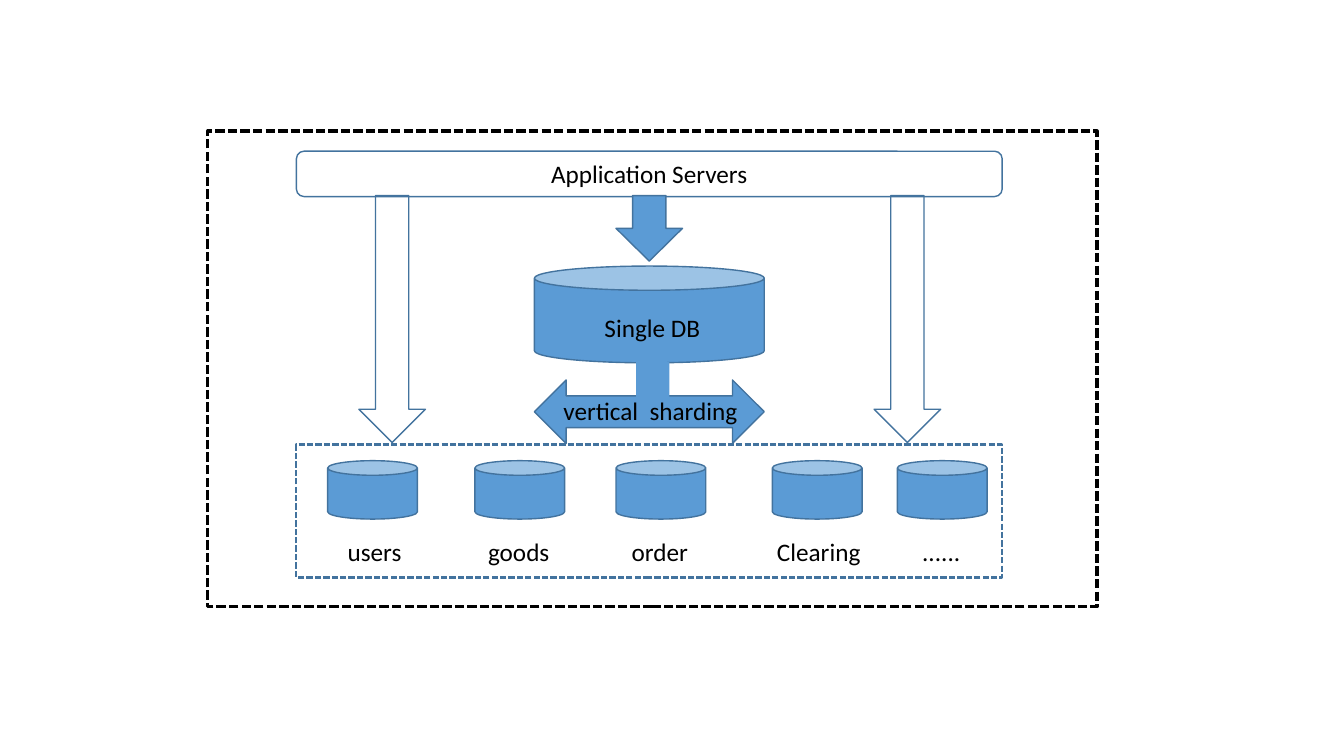
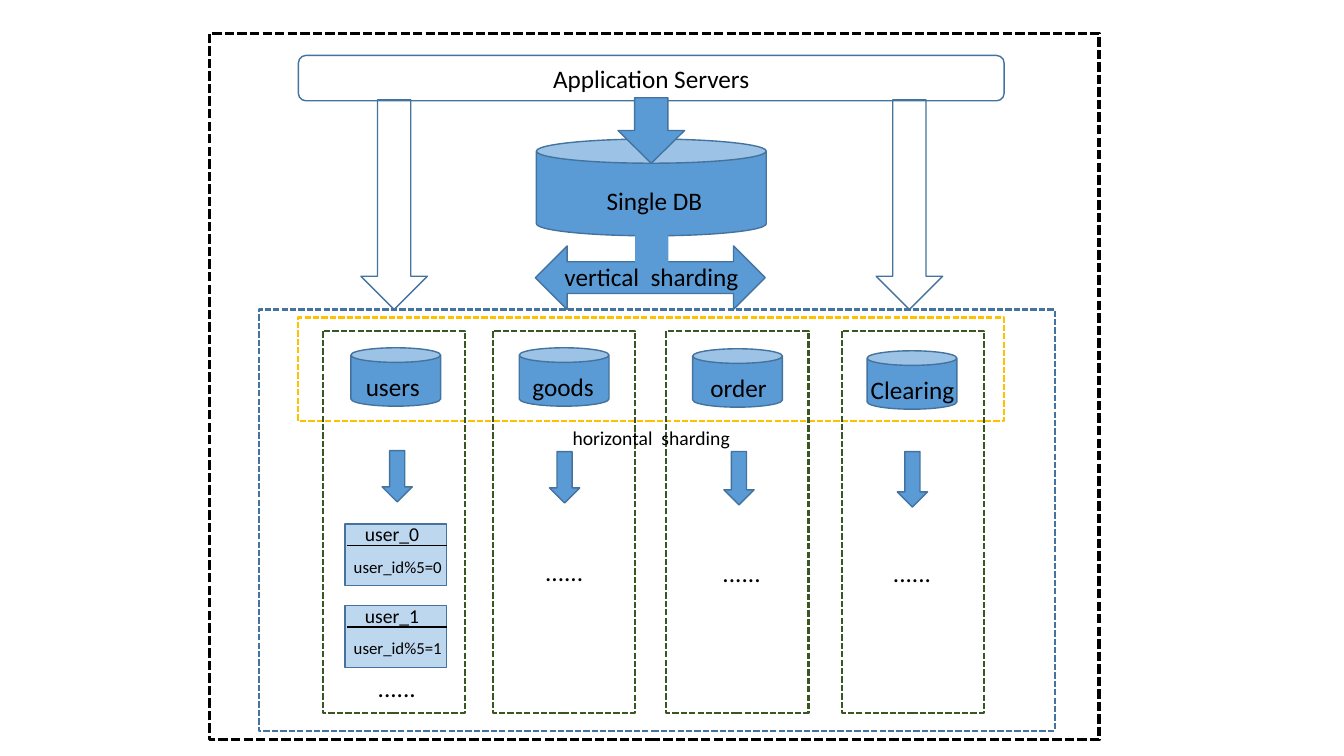
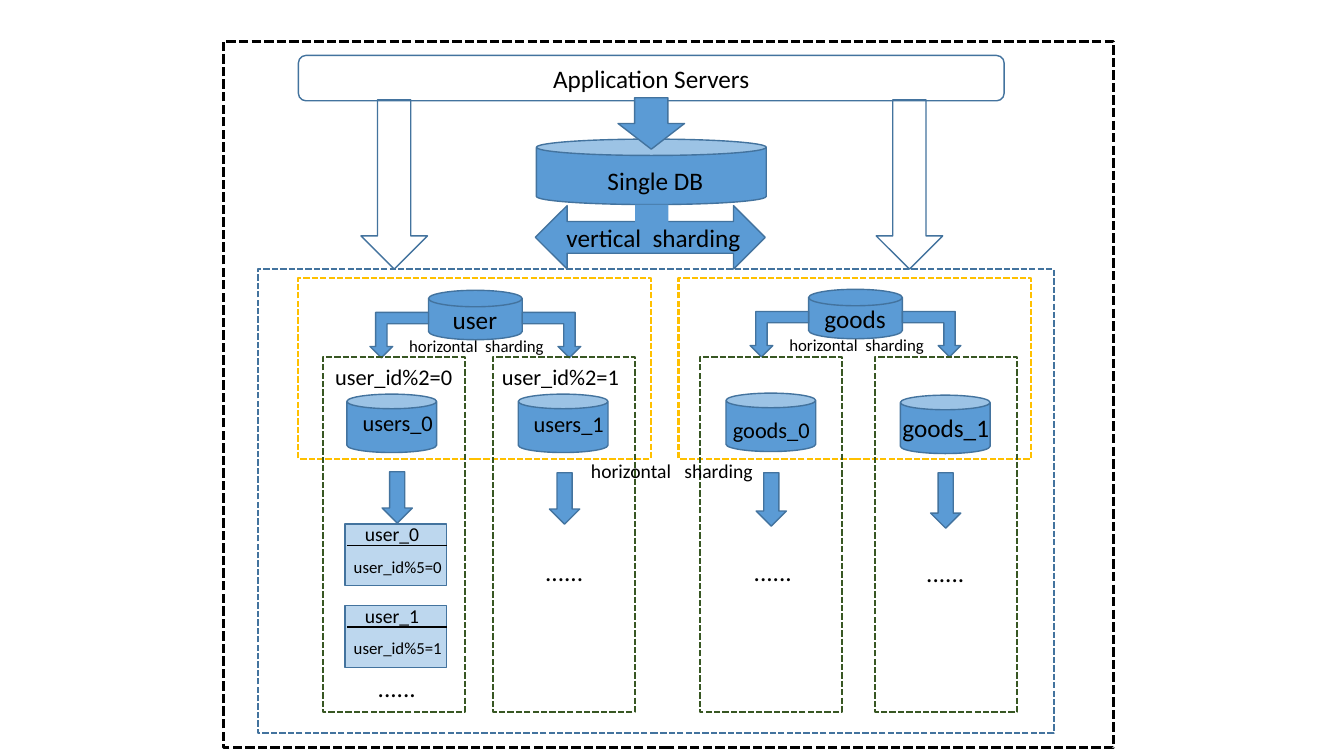
from dataclasses import dataclass

from lxml import etree
from pptx import Presentation
from pptx.dml.color import RGBColor
from pptx.enum.dml import MSO_LINE
from pptx.enum.shapes import MSO_CONNECTOR, MSO_SHAPE
from pptx.enum.text import MSO_ANCHOR, PP_ALIGN
from pptx.oxml.ns import qn
from pptx.util import Pt

RECT = MSO_SHAPE.RECTANGLE
ROUND = MSO_SHAPE.ROUNDED_RECTANGLE
CAN = MSO_SHAPE.CAN
DISK = MSO_SHAPE.FLOWCHART_MAGNETIC_DISK
DOWN = MSO_SHAPE.DOWN_ARROW
BOTH = MSO_SHAPE.LEFT_RIGHT_ARROW
BENT = MSO_SHAPE.BENT_UP_ARROW
STRAIGHT = MSO_CONNECTOR.STRAIGHT
DASH = MSO_LINE.SQUARE_DOT
LEFT, CENTER = PP_ALIGN.LEFT, PP_ALIGN.CENTER
MIDDLE, TOP = MSO_ANCHOR.MIDDLE, MSO_ANCHOR.TOP

PX = 9144  # EMU per px, 100 px to the inch
WIDE, HIGH = 1333, 750


@dataclass(frozen=True)
class Theme:
    font: str = "Calibri"
    ink: str = "000000"
    paper: str = "FFFFFF"
    blue: str = "5B9BD5"
    edge: str = "43739E"
    pale: str = "BDD7EE"
    gold: str = "FFC000"
    green: str = "385723"
    big: int = 18
    mid: int = 16
    small: int = 14
    tiny: int = 12
    thin: float = 1
    bold: float = 1.5
    heavy: float = 2.25


T = Theme()
DOTS = "......"

# Boxes are (left, top, width, height) in px.
VERTICAL = {
    "frame": (206, 130, 882, 472), "server": (294, 150, 700, 45),
    "db": (530, 264, 228, 96), "name": (572, 305, 150, 40),
    "feed": (611, 194, 66, 65), "drop": 245,
    "split": (530, 377, 228, 63), "stem": (631, 359, 33, 57),
    "label": (549, 387, 197, 40), "zone": (294, 441, 700, 132),
}
HORIZONTAL = {
    "frame": (208, 33, 882, 701), "server": (296, 55, 700, 45),
    "db": (532, 138, 228, 96), "name": (574, 179, 150, 40),
    "feed": (613, 97, 66, 65), "drop": 208,
    "split": (531, 244, 228, 63), "stem": (630, 233, 33, 57),
    "label": (550, 254, 197, 40), "zone": (257, 307, 789, 418),
}
MIXED = {
    "frame": (222, 41, 882, 701), "server": (296, 55, 700, 45),
    "db": (532, 138, 228, 65), "name": (575, 159, 150, 40),
    "feed": (613, 97, 66, 51), "drop": 168,
    "split": (531, 204, 228, 63), "stem": (630, 203, 33, 46),
    "label": (552, 216, 198, 40), "zone": (256, 267, 789, 460),
}

# store left, name, name left, name width
STORES = [
    (325, "users", 328, 87),
    (471, "goods", 471, 87),
    (611, "order", 611, 87),
    (766, "Clearing", 758, 108),
    (890, DOTS, 890, 87),
]

# lane left, store left and top, name, its box and size, arrow box, dots box
TABLES = [
    (320, (348, 345), "users", (345, 363, 89, 40), T.big,
     (379, 447, 30, 51), None),
    (489, (515, 345), "goods", (515, 363, 87, 40), T.big,
     (545, 448, 30, 51), (504, 547, 111, 40)),
    (661, (687, 346), "order", (689, 364, 87, 40), T.big,
     (718, 448, 30, 53), (680, 548, 111, 40)),
    (835, (860, 348), "Clearing", (851, 366, 108, 40), T.big,
     (890, 448, 30, 55), (834, 548, 141, 40)),
]
SHARDS = [
    (320, (344, 391), "users_0", (347, 401, 95, 37), T.mid,
     (379, 468, 30, 51), None),
    (489, (514, 391), "users_1", (515, 402, 98, 37), T.mid,
     (545, 469, 30, 51), (504, 547, 111, 40)),
    (694, (720, 390), "goods_0", (714, 408, 102, 37), T.mid,
     (750, 469, 30, 53), (698, 547, 137, 40)),
    (868, (893, 392), "goods_1", (884, 404, 108, 40), T.big,
     (923, 469, 30, 55), (867, 548, 141, 40)),
]

CARDS = [("user_0", "user_id%5=0"), ("user_1", "user_id%5=1")]

# group left, disk left and top, name
GROUPS = [(296, (425, 288), "user"), (673, (802, 287), "goods")]
RULES = [("user_id%2=0", (320, 355, 141, 37), CENTER),
         ("user_id%2=1", (488, 355, 140, 37), LEFT)]


def emu(box):
    return [n * PX for n in box]


def color(code):
    return RGBColor.from_string(code)


def put(slide, kind, box, fill=T.blue, line=T.edge, width=T.thin,
        dash=None, flip=""):
    """Add a preset shape; flip holds the axes to mirror, H and V."""
    shape = slide.shapes.add_shape(kind, *emu(box))
    shape.shadow.inherit = False
    if fill:
        shape.fill.solid()
        shape.fill.fore_color.rgb = color(fill)
    else:
        shape.fill.background()
    if line:
        shape.line.color.rgb = color(line)
        shape.line.width = Pt(width)
        if dash:
            shape.line.dash_style = dash
    else:
        shape.line.fill.background()
    for axis in flip:
        shape.element.spPr.xfrm.set("flip" + axis, "1")
    return shape


def fence(slide, box, line=T.edge, fill=None, width=T.bold):
    """Add a dashed outline."""
    put(slide, RECT, box, fill=fill, line=line, width=width, dash=DASH)


def write(shape, text, size=T.big, align=CENTER, anchor=TOP):
    frame = shape.text_frame
    frame.word_wrap = True
    frame.vertical_anchor = anchor
    para = frame.paragraphs[0]
    para.alignment = align
    run = para.add_run()
    run.text = text
    run.font.name = T.font
    run.font.size = Pt(size)
    run.font.color.rgb = color(T.ink)


def note(slide, box, text, **style):
    write(slide.shapes.add_textbox(*emu(box)), text, **style)


def rule(slide, x, y, span):
    """Add a level black line."""
    line = slide.shapes.add_connector(STRAIGHT, *emu((x, y, x + span, y)))
    line.line.color.rgb = color(T.ink)
    line.line.width = Pt(T.thin)
    etree.SubElement(line.element.spPr, qn("a:effectLst"))


def base(deck, plan):
    """Start a slide with the servers, the single DB and its split."""
    slide = deck.slides.add_slide(deck.slide_layouts[6])
    fence(slide, plan["frame"], T.ink, T.paper, T.heavy)
    server = put(slide, ROUND, plan["server"], fill=T.paper)
    write(server, "Application Servers", anchor=MIDDLE)
    put(slide, CAN, plan["db"])
    note(slide, plan["name"], "Single DB")
    put(slide, DOWN, plan["feed"])
    x, y = plan["server"][:2]
    for gap in (62, 573):
        put(slide, DOWN, (x + gap, y + 44, 66, plan["drop"]), fill=None)
    put(slide, BOTH, plan["split"])
    put(slide, RECT, plan["stem"], line=None)
    note(slide, plan["label"], "vertical  sharding", align=LEFT)
    fence(slide, plan["zone"])
    return slide


def store(slide, x, y):
    put(slide, CAN, (x, y, 89, 58))


def lanes(slide, rows, top, high):
    """Add the dashed columns, with the user tables in the first."""
    for x, spot, name, box, size, arrow, dots in rows:
        fence(slide, (x, top, 141, high), T.green)
        store(slide, *spot)
        note(slide, box, name, size=size)
        put(slide, DOWN, arrow)
        if dots:
            note(slide, dots, DOTS)
    for i, (name, test) in enumerate(CARDS):
        y = 520 + i * 81
        put(slide, RECT, (342, y, 101, 61), fill=T.pale)
        rule(slide, 344, y + 21, 99)
        note(slide, (352, y - 7, 85, 34), name, size=T.small, align=LEFT)
        note(slide, (340, y + 27, 109, 30), test, size=T.tiny)
    note(slide, (343, 662, 101, 40), DOTS)


def vertical(deck):
    slide = base(deck, VERTICAL)
    for x, name, left, wide in STORES:
        store(slide, x, 457)
        note(slide, (left, 527, wide, 40), name)


def horizontal(deck):
    slide = base(deck, HORIZONTAL)
    fence(slide, (296, 315, 700, 103), T.gold)
    lanes(slide, TABLES, 328, 379)
    note(slide, (503, 418, 286, 34), "horizontal  sharding", size=T.small)


def mixed(deck):
    slide = base(deck, MIXED)
    for left, (x, y), name in GROUPS:
        fence(slide, (left, 276, 350, 179), T.gold)
        put(slide, DISK, (x, y, 93, 49))
        note(slide, (x, y + 9, 92, 40), name)
        put(slide, BENT, (x + 93, y + 22, 58, 45), flip="V")
        put(slide, BENT, (x - 58, y + 22, 58, 45), flip="HV")
        note(slide, (x - 29, y + 40, 179, 60), "horizontal  sharding",
             size=T.tiny, align=LEFT)
    lanes(slide, SHARDS, 354, 352)
    for text, box, align in RULES:
        note(slide, box, text, size=T.mid, align=align)
    note(slide, (493, 450, 347, 34), "horizontal   sharding", size=T.small)


def main():
    deck = Presentation()
    deck.slide_width, deck.slide_height = emu((WIDE, HIGH))
    for build in (vertical, horizontal, mixed):
        build(deck)
    deck.save("out.pptx")


if __name__ == "__main__":
    main()
